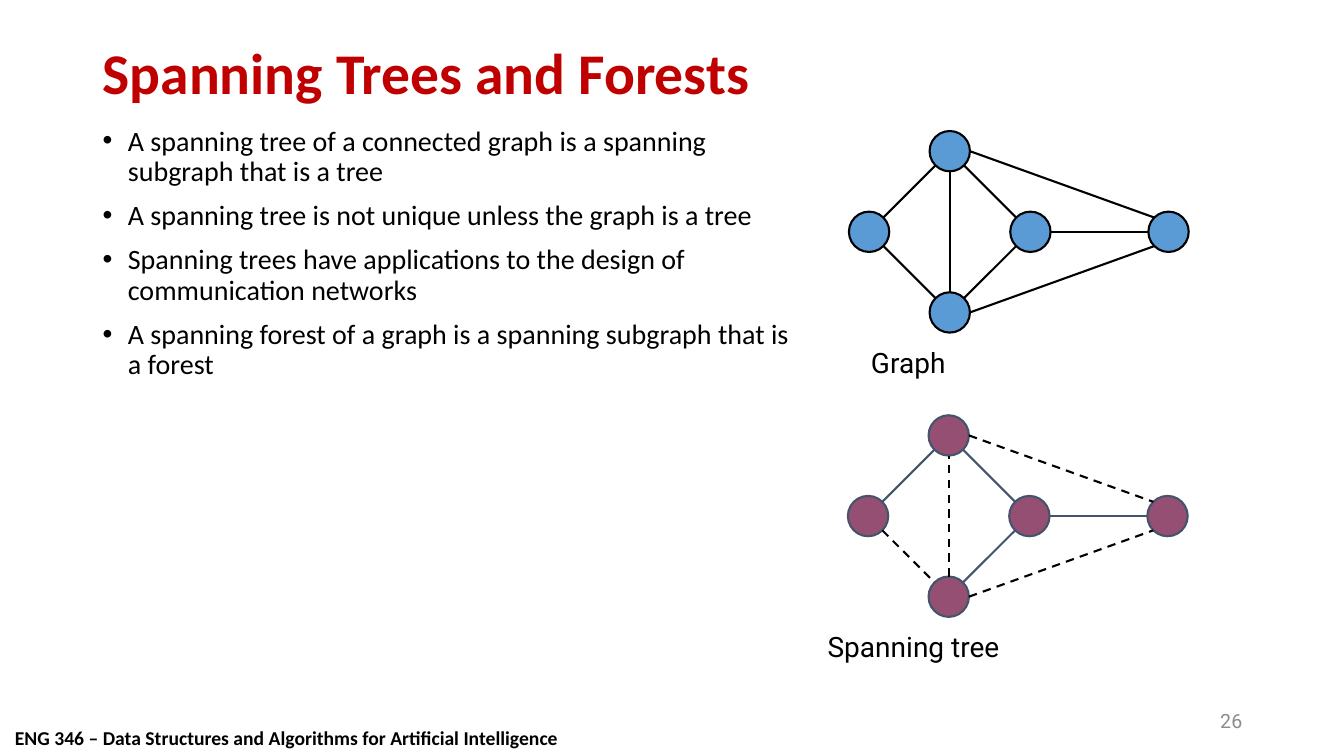
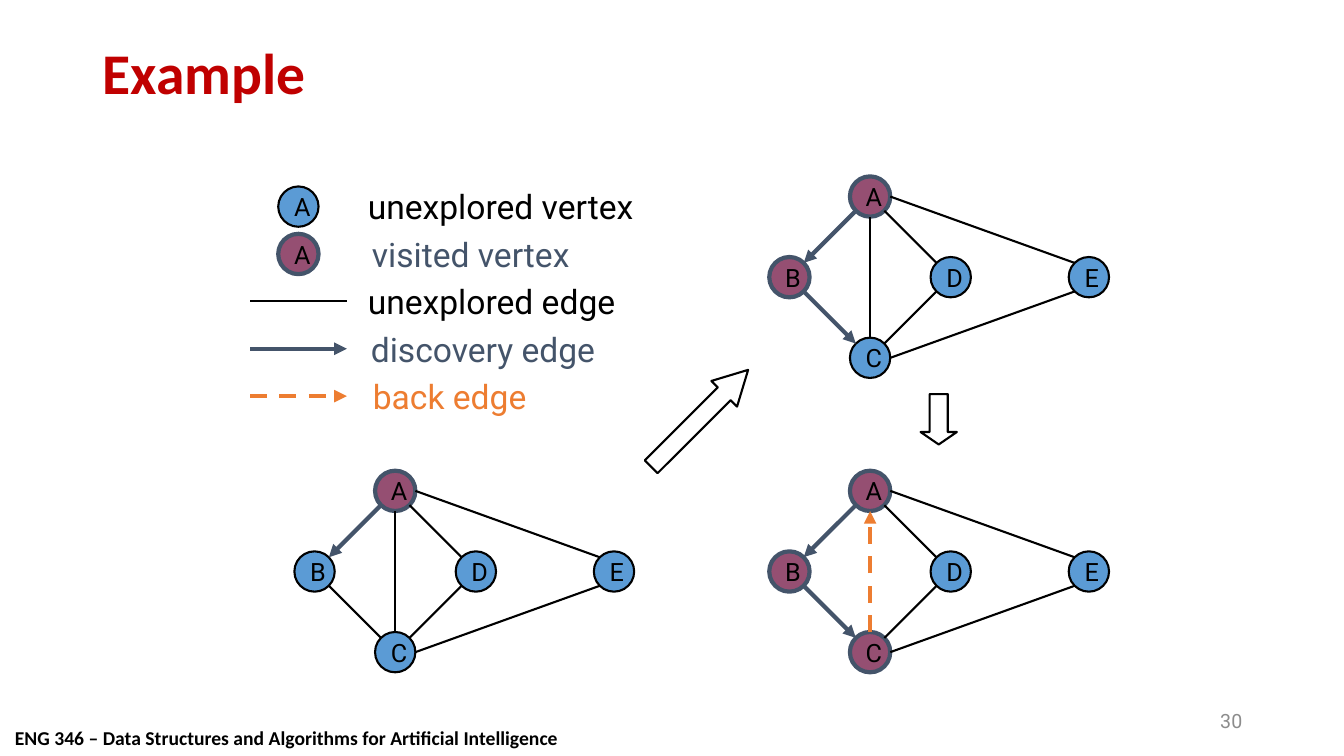
from math import sqrt

from lxml.etree import SubElement
from pptx import Presentation
from pptx.dml.color import RGBColor
from pptx.enum.dml import MSO_LINE
from pptx.enum.shapes import MSO_CONNECTOR, MSO_SHAPE
from pptx.enum.text import MSO_ANCHOR, PP_ALIGN
from pptx.oxml.ns import qn
from pptx.util import Inches, Pt

BLACK, RED, GREY = "000000", "C00000", "8C8C8C"
BLUE, PLUM, SLATE, ORANGE = "5B9BD5", "954F72", "44546A", "ED7D31"
HEADING_FONT, LABEL_FONT = "Calibri", "Roboto"
COURSE = "ENG 346 – Data Structures and Algorithms for Artificial Intelligence"

SPANNING_POINTS = [
    "A spanning tree of a connected graph is a spanning subgraph that is a tree",
    "A spanning tree is not unique unless the graph is a tree",
    "Spanning trees have applications to the design of communication networks",
    "A spanning forest of a graph is a spanning subgraph that is a forest",
]

UNEXPLORED, VISITED, TREE = (BLUE, BLACK, 1.5), (PLUM, SLATE, 3), (PLUM, SLATE, 1.5)

PLAIN = dict(color=BLACK, width=1.5)
TREE_EDGE = dict(color=SLATE, width=1.5)
LEFT_OUT = dict(color=BLACK, width=1.5, dashed=True)
DISCOVERY = dict(color=SLATE, width=3, arrow=True)
BACK = dict(color=ORANGE, width=3, dashed=True, arrow=True)

DIAMETER = 0.4
VERTICES = {"A": (0.8, -0.8), "B": (0, 0), "C": (0.8, 0.8), "D": (1.6, 0), "E": (2.97, 0)}
DIAGONAL = 1 / sqrt(2)
SIDES = {
    "top": (0, -1), "bottom": (0, 1), "left": (-1, 0), "right": (1, 0),
    "top left": (-DIAGONAL, -DIAGONAL), "top right": (DIAGONAL, -DIAGONAL),
    "bottom left": (-DIAGONAL, DIAGONAL), "bottom right": (DIAGONAL, DIAGONAL),
}
EDGES = {
    "AB": ("bottom left", "top right"),
    "BC": ("bottom right", "top left"),
    "CD": ("top right", "bottom left"),
    "AD": ("bottom right", "top left"),
    "CA": ("top", "bottom"),
    "DE": ("right", "left"),
    "CE": ("right", "bottom left"),
    "AE": ("right", "top left"),
}

SPANNING_GRAPHS = [
    dict(origin=(8.62, 2.3), vertex=UNEXPLORED, edge=PLAIN, special={},
         caption="Graph", caption_at=(8.54, 3.38)),
    dict(origin=(8.61, 5.12), vertex=TREE, edge=TREE_EDGE,
         special=dict.fromkeys(("BC", "CA", "CE", "AE"), LEFT_OUT),
         caption="Spanning tree", caption_at=(8.11, 6.2)),
]
SEARCH_STEPS = [
    ((3.12, 5.67), "A", {"AB": DISCOVERY}),
    ((7.83, 2.75), "AB", {"AB": DISCOVERY, "BC": DISCOVERY}),
    ((7.83, 5.67), "ABC", {"AB": DISCOVERY, "BC": DISCOVERY, "CA": BACK}),
]
LEGEND = [
    ("unexplored vertex", 3.55, BLACK, UNEXPLORED),
    ("visited vertex", 3.59, SLATE, VISITED),
    ("unexplored edge", 3.55, BLACK, PLAIN),
    ("discovery edge", 3.58, SLATE, DISCOVERY),
    ("back edge", 3.6, ORANGE, BACK),
]
STEP_ARROWS = [
    ((9.06, 3.98, 0.5, 0.36), 90, 0.343),
    ((6.26, 3.97, 1.36, 0.36), 315, 0.932),
]


def rgb(color):
    return RGBColor.from_string(color)


def style(paragraph, size, font=LABEL_FONT, color=BLACK, bold=False):
    paragraph.font.size = Pt(size)
    paragraph.font.name = font
    paragraph.font.color.rgb = rgb(color)
    paragraph.font.bold = bold


def add_text(slide, text, box, size, anchor=MSO_ANCHOR.TOP, align=PP_ALIGN.LEFT, **look):
    frame = slide.shapes.add_textbox(*map(Inches, box)).text_frame
    frame.word_wrap = True
    frame.vertical_anchor = anchor
    frame.text = text
    for paragraph in frame.paragraphs:
        paragraph.alignment = align
        style(paragraph, size, **look)
    return frame


def add_bullets(slide, points, box):
    frame = add_text(slide, "\n".join(points), box, 20, font=HEADING_FONT)
    for index, paragraph in enumerate(frame.paragraphs):
        properties = paragraph._p.get_or_add_pPr()
        properties.set("marL", str(Inches(0.25)))
        properties.set("indent", str(-Inches(0.25)))
        bullet_font = properties.makeelement(qn("a:buFont"), {"typeface": "Arial"})
        bullet = properties.makeelement(qn("a:buChar"), {"char": "•"})
        for position, element in enumerate((bullet_font, bullet)):
            properties.insert(position, element)
        paragraph.line_spacing = 0.9
        paragraph.space_before = Pt(10 if index else 0)


def add_vertex(slide, center, look, name=""):
    fill, outline, width = look
    corner = [value - DIAMETER / 2 for value in center]
    vertex = slide.shapes.add_shape(
        MSO_SHAPE.OVAL, *map(Inches, (*corner, DIAMETER, DIAMETER)))
    vertex.shadow.inherit = False
    vertex.fill.solid()
    vertex.fill.fore_color.rgb = rgb(fill)
    vertex.line.color.rgb = rgb(outline)
    vertex.line.width = Pt(width)
    if name:
        frame = vertex.text_frame
        frame.word_wrap = False
        frame.vertical_anchor = MSO_ANCHOR.MIDDLE
        frame.text = name
        frame.paragraphs[0].alignment = PP_ALIGN.LEFT
        style(frame.paragraphs[0], 18)


def add_edge(slide, start, end, color, width, dashed=False, arrow=False):
    edge = slide.shapes.add_connector(
        MSO_CONNECTOR.STRAIGHT, *map(Inches, (*start, *end)))
    edge.line.color.rgb = rgb(color)
    edge.line.width = Pt(width)
    if dashed:
        edge.line.dash_style = MSO_LINE.DASH
    if arrow:
        SubElement(edge.line._get_or_add_ln(), qn("a:tailEnd"), type="triangle")
    SubElement(edge._element.spPr, qn("a:effectLst"))


def add_graph(slide, origin, vertex_looks, edge_looks, named=False):
    centers = {name: (origin[0] + dx, origin[1] + dy) for name, (dx, dy) in VERTICES.items()}
    for name, look in vertex_looks.items():
        add_vertex(slide, centers[name], look, name if named else "")
    for ends, look in edge_looks.items():
        start, end = (
            [c + s * DIAMETER / 2 for c, s in zip(centers[name], SIDES[side])]
            for name, side in zip(ends, EDGES[ends]))
        add_edge(slide, start, end, **look)


def add_slide(deck, title, number):
    slide = deck.slides.add_slide(deck.slide_layouts[6])
    add_text(slide, COURSE, (0.05, 7.15, 6, 0.33), 14, font=HEADING_FONT, bold=True)
    heading = add_text(slide, title, (0.92, 0.4, 11.5, 0.7), 41.1, MSO_ANCHOR.MIDDLE,
                       font=HEADING_FONT, color=RED, bold=True)
    heading.paragraphs[0].line_spacing = 0.9
    add_text(slide, number, (9.42, 6.95, 3, 0.4), 14, MSO_ANCHOR.MIDDLE,
             PP_ALIGN.RIGHT, color=GREY)
    return slide


def build_spanning(deck):
    slide = add_slide(deck, "Spanning Trees and Forests", "26")
    add_bullets(slide, SPANNING_POINTS, (0.92, 1.21, 7.13, 5.54))
    for graph in SPANNING_GRAPHS:
        add_text(slide, graph["caption"], (*graph["caption_at"], 3.12, 0.43), 20)
        add_graph(slide, graph["origin"], dict.fromkeys(VERTICES, graph["vertex"]),
                  dict.fromkeys(EDGES, graph["edge"]) | graph["special"])


def build_example(deck):
    slide = add_slide(deck, "Example", "30")
    search_edges = {ends: PLAIN for ends in EDGES if ends != "DE"}
    for origin, visited, explored in SEARCH_STEPS:
        looks = {name: VISITED if name in visited else UNEXPLORED for name in VERTICES}
        add_graph(slide, origin, looks, search_edges | explored, named=True)
    for row, (label, left, color, key) in enumerate(LEGEND):
        top = 1.8 + 0.47 * row
        middle = top + 0.25
        add_text(slide, label, (left, top, 3.1, 0.5), 24, color=color)
        if key in (UNEXPLORED, VISITED):
            add_vertex(slide, (2.96, middle), key, "A")
        else:
            add_edge(slide, (2.48, middle), (3.44, middle), **key)
    for box, rotation, head in STEP_ARROWS:
        step = slide.shapes.add_shape(MSO_SHAPE.RIGHT_ARROW, *map(Inches, box))
        step.adjustments[0], step.adjustments[1] = 0.5, head
        step.rotation = rotation
        step.shadow.inherit = False
        step.fill.background()
        step.line.color.rgb = rgb(BLACK)
        step.line.width = Pt(1.5)


def main():
    deck = Presentation()
    deck.slide_width, deck.slide_height = Inches(13.33), Inches(7.5)
    build_spanning(deck)
    build_example(deck)
    deck.save("out.pptx")


if __name__ == "__main__":
    main()
